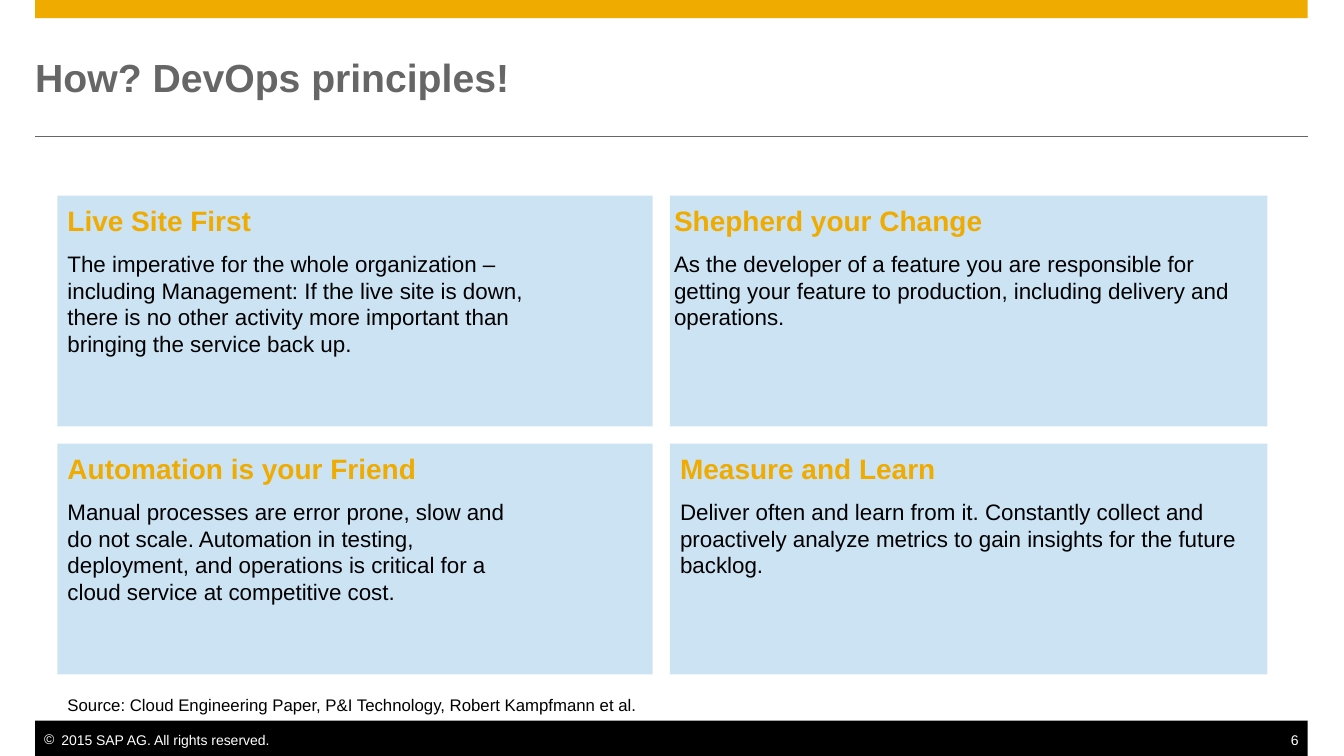
from dataclasses import dataclass

import pptx
import pptx.dml.color
import pptx.enum.shapes
import pptx.enum.text
import pptx.oxml
import pptx.oxml.ns
import pptx.shapes.autoshape
import pptx.slide
import pptx.util

RGBColor = pptx.dml.color.RGBColor
Align = pptx.enum.text.PP_ALIGN
Anchor = pptx.enum.text.MSO_ANCHOR

GOLD = RGBColor(0xF0, 0xAB, 0x00)
GREY = RGBColor(0x66, 0x66, 0x66)
BLUE = RGBColor(0x00, 0x76, 0xCB)
BLACK = RGBColor(0x00, 0x00, 0x00)
WHITE = RGBColor(0xFF, 0xFF, 0xFF)

FONT = "Arial"
SLIDE_WIDTH = pptx.util.Inches(13.34)
SLIDE_HEIGHT = pptx.util.Inches(7.5)


def across(percent: float) -> int:
    return round(SLIDE_WIDTH * percent / 100)


def down(percent: float) -> int:
    return round(SLIDE_HEIGHT * percent / 100)


@dataclass(frozen=True)
class Area:
    left: float
    top: float
    width: float
    height: float

    def lengths(self) -> tuple[int, int, int, int]:
        return across(self.left), down(self.top), across(self.width), down(self.height)


@dataclass(frozen=True)
class Insets:
    left: float = 0
    top: float = 0
    right: float = 0
    bottom: float = 0


@dataclass(frozen=True)
class Principle:
    column: int
    row: int
    heading: str
    body: str
    insets: Insets


@dataclass(frozen=True)
class Label:
    text: str
    area: Area
    size: int
    color: RGBColor
    bold: bool = False
    insets: Insets = Insets()
    align: Align = Align.LEFT
    anchor: Anchor = Anchor.TOP
    wrap: bool = True
    bullet: str = ""


MARGIN = 2.62
CONTENT_WIDTH = 94.68
COLUMNS = ((4.27, 44.3), (49.85, 44.45))
ROW_TOP, ROW_STEP, ROW_HEIGHT = 25.87, 32.8, 30.53
NARROW_TEXT = Insets(0.75, 1.07, 8.85, 1.07)
WIDE_TEXT = Insets(0.75, 1.07, 0.75, 1.07)
SHIFTED_TEXT = Insets(0.3, 1.07, 0.75, 1.07)

BARS = (
    (Area(MARGIN, 0, CONTENT_WIDTH, 2.4), GOLD),
    (Area(MARGIN, 95.33, CONTENT_WIDTH, 4.67), BLACK),
)

PRINCIPLES = (
    Principle(0, 0, "Live Site First",
              "The imperative for the whole organization – including Management: "
              "If the live site is down, there is no other activity more important "
              "than bringing the service back up.", NARROW_TEXT),
    Principle(1, 0, "Shepherd your Change",
              "As the developer of a feature you are responsible for getting your "
              "feature to production, including delivery and operations.", SHIFTED_TEXT),
    Principle(1, 1, "Measure and Learn",
              "Deliver often and learn from it. Constantly collect and proactively "
              "analyze metrics to gain insights for the future backlog.", WIDE_TEXT),
    Principle(0, 1, "Automation is your Friend",
              "Manual processes are error prone, slow and do not scale. Automation in "
              "testing, deployment, and operations is critical for a cloud service at "
              "competitive cost.", NARROW_TEXT),
)

LABELS = (
    Label("2015 SAP AG. All rights reserved.", Area(MARGIN, 96.8, 17.77, 2.27), 10, WHITE,
          insets=Insets(left=0.67), wrap=False, bullet="©"),
    Label("6", Area(95.28, 96.8, 2.02, 2.27), 10, WHITE,
          insets=Insets(right=0.67), align=Align.RIGHT, wrap=False),
    Label("How? DevOps principles!", Area(MARGIN, 4.67, CONTENT_WIDTH, 11.07), 28, GREY,
          bold=True, anchor=Anchor.MIDDLE),
    Label("Source: Cloud Engineering Paper, P&I Technology, Robert Kampfmann et al.",
          Area(COLUMNS[0][0], 91.2, 83.43, 4), 12, BLACK, insets=Insets(0.75, 0.67, 0.75, 0.67)),
)


def set_frame(frame, insets: Insets, anchor: Anchor, wrap: bool) -> None:
    frame.margin_left, frame.margin_right = across(insets.left), across(insets.right)
    frame.margin_top, frame.margin_bottom = down(insets.top), down(insets.bottom)
    frame.vertical_anchor = anchor
    frame.word_wrap = wrap


def add_text(paragraph, text: str, size: int, color: RGBColor, bold: bool) -> None:
    run = paragraph.add_run()
    run.text = text
    run.font.name = FONT
    run.font.size = pptx.util.Pt(size)
    run.font.color.rgb = color
    run.font.bold = bold


def add_bullet(paragraph, character: str, color: RGBColor) -> None:
    indent = across(1.27)
    properties = paragraph._p.get_or_add_pPr()
    properties.set("marL", str(indent))
    properties.set("indent", str(-indent))
    namespace = pptx.oxml.ns.nsdecls("a")
    for element in (
        f'<a:buClr {namespace}><a:srgbClr val="{color}"/></a:buClr>',
        f'<a:buFont {namespace} typeface="{FONT}"/>',
        f'<a:buChar {namespace} char="{character}"/>',
    ):
        properties.append(pptx.oxml.parse_xml(element))


def add_rectangle(slide: pptx.slide.Slide, area: Area,
                  color: RGBColor) -> pptx.shapes.autoshape.Shape:
    shape = slide.shapes.add_shape(pptx.enum.shapes.MSO_SHAPE.RECTANGLE, *area.lengths())
    shape.shadow.inherit = False
    shape.fill.solid()
    shape.fill.fore_color.rgb = color
    shape.line.fill.background()
    return shape


def add_title_rule(slide: pptx.slide.Slide) -> None:
    rule = slide.shapes.add_connector(
        pptx.enum.shapes.MSO_CONNECTOR.STRAIGHT,
        across(MARGIN), down(18), across(MARGIN + CONTENT_WIDTH), down(18))
    rule.line.color.rgb = GREY
    rule.line.width = pptx.util.Pt(0.5)
    rule._element.spPr.append(
        pptx.oxml.parse_xml(f'<a:effectLst {pptx.oxml.ns.nsdecls("a")}/>'))


def add_principle(slide: pptx.slide.Slide, principle: Principle) -> None:
    left, width = COLUMNS[principle.column]
    area = Area(left, ROW_TOP + principle.row * ROW_STEP, width, ROW_HEIGHT)
    shape = add_rectangle(slide, area, BLUE)
    color = shape._element.spPr.find(".//" + pptx.oxml.ns.qn("a:srgbClr"))
    color.append(pptx.oxml.parse_xml(
        f'<a:alpha {pptx.oxml.ns.nsdecls("a")} val="20000"/>'))
    frame = shape.text_frame
    set_frame(frame, principle.insets, Anchor.TOP, True)
    heading, body = frame.paragraphs[0], frame.add_paragraph()
    heading.alignment = body.alignment = Align.LEFT
    body.space_before = pptx.util.Pt(9)
    add_text(heading, principle.heading, 20, GOLD, True)
    add_text(body, principle.body, 16, BLACK, False)


def add_label(slide: pptx.slide.Slide, label: Label) -> None:
    frame = slide.shapes.add_textbox(*label.area.lengths()).text_frame
    set_frame(frame, label.insets, label.anchor, label.wrap)
    paragraph = frame.paragraphs[0]
    paragraph.alignment = label.align
    if label.bullet:
        add_bullet(paragraph, label.bullet, label.color)
    add_text(paragraph, label.text, label.size, label.color, label.bold)


def main() -> None:
    presentation = pptx.Presentation()
    presentation.slide_width = SLIDE_WIDTH
    presentation.slide_height = SLIDE_HEIGHT
    slide = presentation.slides.add_slide(presentation.slide_layouts[6])
    for area, color in BARS:
        add_rectangle(slide, area, color)
    add_title_rule(slide)
    for principle in PRINCIPLES:
        add_principle(slide, principle)
    for label in LABELS:
        add_label(slide, label)
    presentation.save("out.pptx")


if __name__ == "__main__":
    main()
